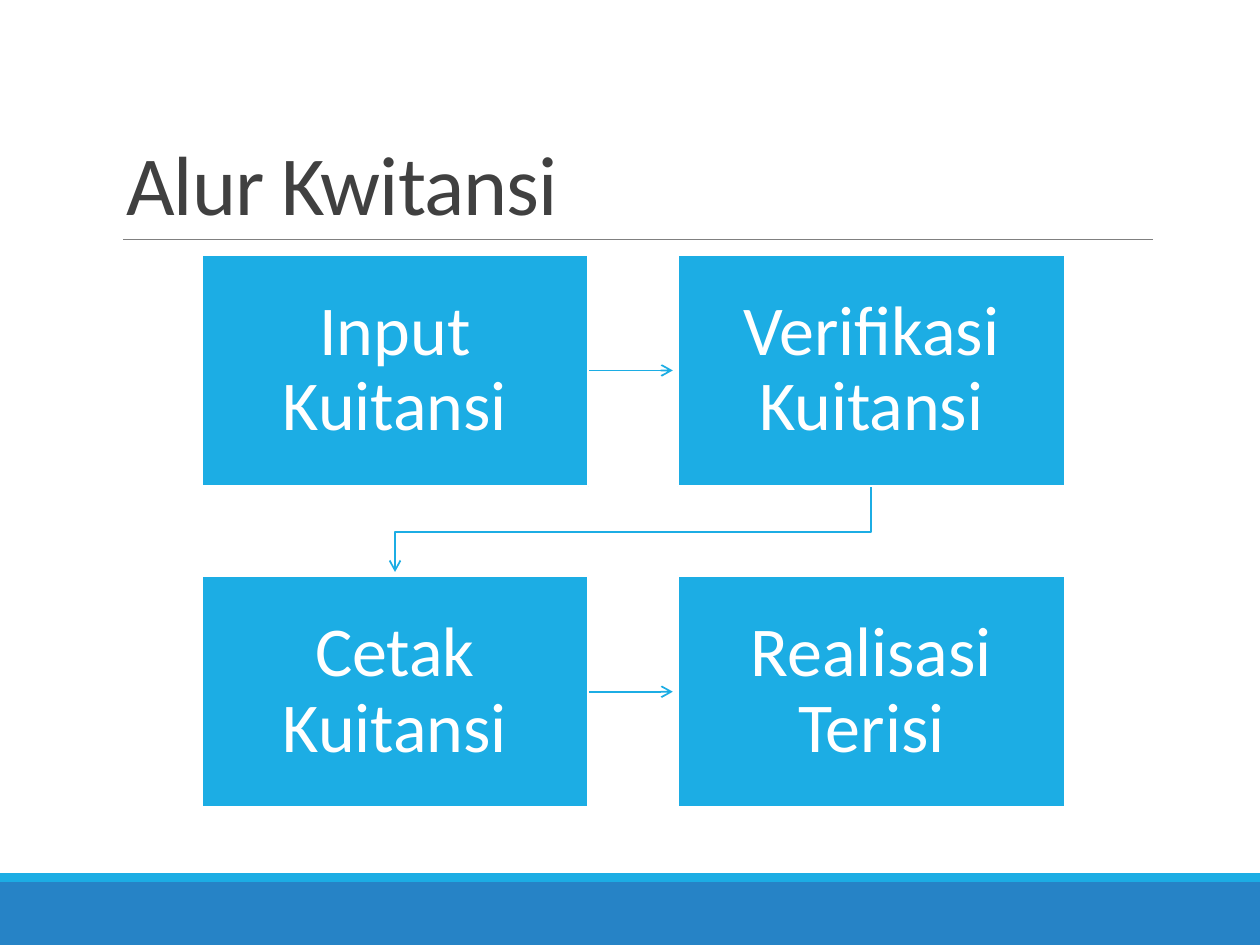
from dataclasses import dataclass

from lxml.etree import SubElement
from pptx import Presentation
from pptx.dml.color import RGBColor
from pptx.enum.shapes import MSO_CONNECTOR, MSO_SHAPE
from pptx.enum.text import MSO_ANCHOR, PP_ALIGN
from pptx.oxml.ns import qn
from pptx.util import Inches, Pt


@dataclass(frozen=True)
class Theme:
    font: str = "Calibri"
    head: int = 48
    body: int = 40
    dark: str = "404040"
    rule: str = "808080"
    sky: str = "1CADE4"
    blue: str = "2683C6"
    white: str = "FFFFFF"


@dataclass(frozen=True)
class Grid:
    left: float = 1.6
    top: float = 2.02
    wide: float = 3.07
    high: float = 1.84
    step: float = 3.78
    drop: float = 2.55

    def spot(self, col, row):
        return self.left + col * self.step, self.top + row * self.drop

    def mid(self, col, row):
        x, y = self.spot(col, row)
        return x + self.wide / 2, y + self.high / 2


class Deck:
    def __init__(self, theme, grid):
        self.theme, self.grid = theme, grid
        self.file = Presentation()
        self.file.slide_width, self.file.slide_height = Inches(10), Inches(7.5)
        self.slide = self.file.slides.add_slide(self.file.slide_layouts[5])
        self.shapes = self.slide.shapes

    def place(self, item, x, y, w, h):
        item.left, item.top = Inches(x), Inches(y)
        item.width, item.height = Inches(w), Inches(h)

    def label(self, shape, text, size, color, align, space):
        frame = shape.text_frame
        frame.text = text
        frame.word_wrap = True
        para = frame.paragraphs[0]
        para.alignment, para.line_spacing = align, space
        run = para.runs[0]
        run.font.name, run.font.size = self.theme.font, Pt(size)
        run.font.color.rgb = RGBColor.from_string(color)
        return run

    def title(self, text):
        head = self.shapes.title
        self.place(head, 0.9, 0.31, 8.25, 1.59)
        head.text_frame.vertical_anchor = MSO_ANCHOR.BOTTOM
        run = self.label(head, text, self.theme.head, self.theme.dark,
                         PP_ALIGN.LEFT, 0.85)
        run._r.get_or_add_rPr().set("spc", "-50")

    def rect(self, x, y, w, h, fill, edge=None):
        shape = self.shapes.add_shape(
            MSO_SHAPE.RECTANGLE, *map(Inches, (x, y, w, h)))
        shape.shadow.inherit = False
        shape.fill.solid()
        shape.fill.fore_color.rgb = RGBColor.from_string(fill)
        if edge:
            self.ink(shape, edge, 1.25)
        else:
            shape.line.fill.background()
        return shape

    def ink(self, shape, color, width):
        shape.line.color.rgb = RGBColor.from_string(color)
        shape.line.width = Pt(width)

    def line(self, start, end, color, width):
        link = self.shapes.add_connector(
            MSO_CONNECTOR.STRAIGHT, *map(Inches, (*start, *end)))
        self.ink(link, color, width)
        SubElement(link._element.spPr, qn("a:effectLst"))
        return link

    def tip(self, shape):
        edge = shape._element.spPr.find(qn("a:ln"))
        SubElement(edge, qn("a:tailEnd"), type="arrow")

    def arrow(self, row):
        x = self.grid.left + self.grid.wide
        y = self.grid.mid(0, row)[1]
        self.tip(self.line((x, y), (x + 0.67, y), self.theme.sky, 1))

    def elbow(self):
        start, end = self.grid.mid(1, 0)[0], self.grid.mid(0, 1)[0]
        top = self.grid.top + self.grid.high
        bend, base = top + 0.36, top + 0.68
        route = self.shapes.build_freeform(
            Inches(start), Inches(top), scale=1.0)
        turns = [(start, bend), (end, bend), (end, base)]
        route.add_line_segments(
            [(Inches(x), Inches(y)) for x, y in turns], close=False)
        shape = route.convert_to_shape()
        shape.shadow.inherit = False
        shape.fill.background()
        self.ink(shape, self.theme.sky, 1)
        self.tip(shape)

    def box(self, col, row, text):
        shape = self.rect(*self.grid.spot(col, row), self.grid.wide,
                          self.grid.high, self.theme.sky, self.theme.white)
        frame = shape.text_frame
        frame.vertical_anchor = MSO_ANCHOR.MIDDLE
        frame.margin_left = frame.margin_right = Inches(0.31)
        frame.margin_top = frame.margin_bottom = Inches(0.31)
        self.label(shape, text, self.theme.body, self.theme.white,
                   PP_ALIGN.CENTER, 0.9)


def main():
    theme = Theme()
    deck = Deck(theme, Grid())
    deck.rect(0, 7, 10, 0.5, theme.blue)
    deck.rect(0, 6.93, 10, 0.07, theme.sky)
    deck.line((0.98, 1.9), (9.15, 1.9), theme.rule, 0.5)
    deck.title("Alur Kwitansi")
    deck.elbow()
    steps = [["Input Kuitansi", "Verifikasi Kuitansi"],
             ["Cetak Kuitansi", "Realisasi Terisi"]]
    for row, texts in enumerate(steps):
        deck.arrow(row)
        for col, text in enumerate(texts):
            deck.box(col, row, text)
    deck.file.save("out.pptx")


if __name__ == "__main__":
    main()
